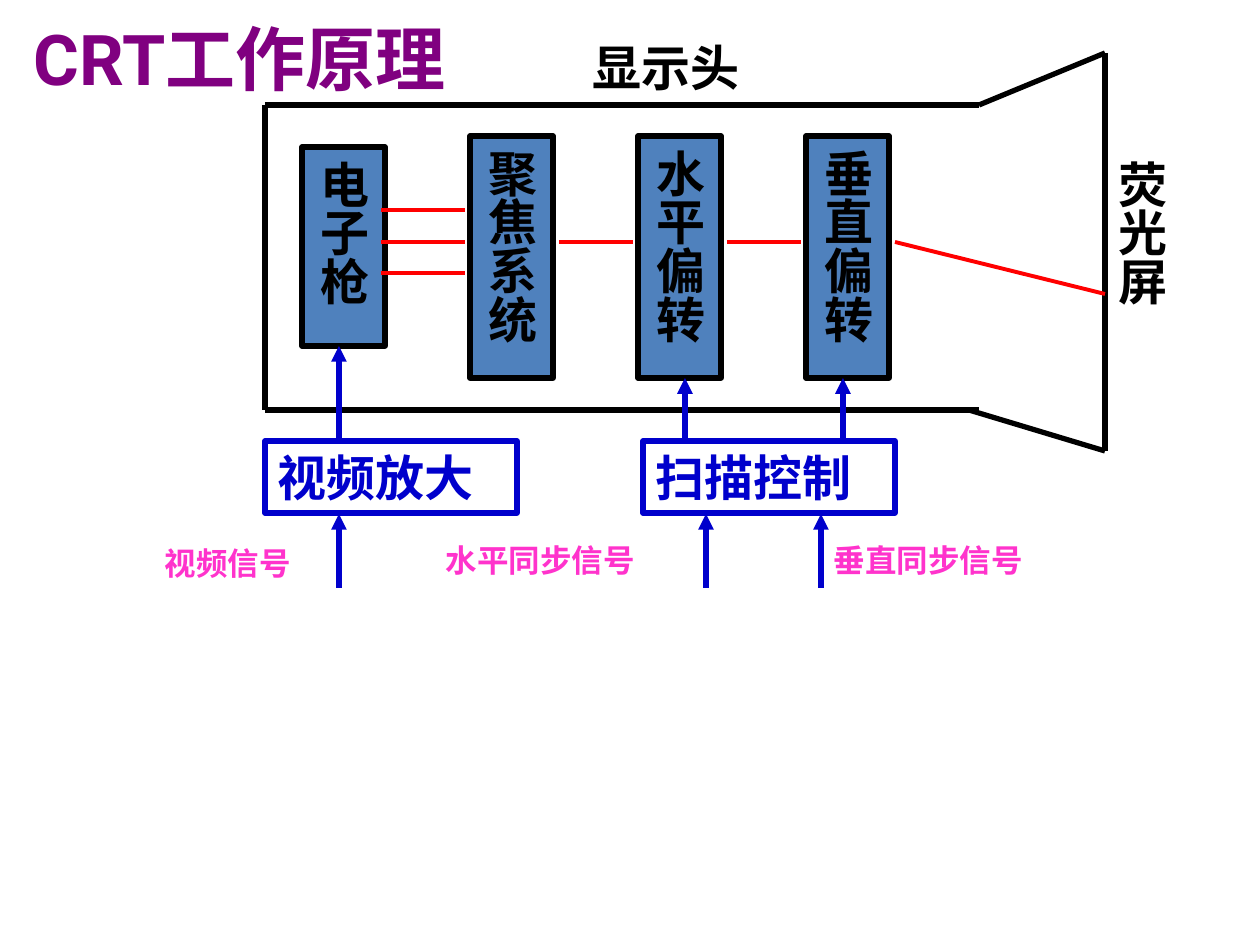
from lxml import etree
from pptx import Presentation
from pptx import util as u
from pptx.dml.color import RGBColor
from pptx.enum import shapes, text
from pptx.oxml.ns import qn

PX = u.Inches(1) / 126
CJK = "Noto Sans CJK SC"
BLACK, BLUE, RED, PINK = "000000", "0000CC", "FF0000", "FF33CC"
STEEL, PURPLE = "4F81BD", "800080"

# Layout of the tube, in px
TUBE_LEFT, TUBE_RIGHT, TUBE_TOP, TUBE_BOTTOM = 265, 979, 105, 410
SCREEN_X, SCREEN_TOP, SCREEN_BOTTOM = 1105, 53, 451
STAGE_LEFT, STAGE_STEP, STAGE_TOP, STAGE_WIDTH, STAGE_HEIGHT = 470, 168, 136, 83, 242
GUN_TOP, GUN_HEIGHT, BEAM_Y = 147, 199, 242
CONTROL_TOP, CONTROL_HEIGHT, SIGNAL_Y = 441, 72, 588


def px(length):
    return u.Emu(round(length * PX))


def color(value):
    return RGBColor.from_string(value)


def write(shape, words, size, ink, font=CJK, vertical=False):
    frame = shape.text_frame
    insets = (6, 13) if vertical else (13, 6)
    layout = {
        "word_wrap": True,
        "auto_size": text.MSO_AUTO_SIZE.NONE,
        "vertical_anchor": text.MSO_ANCHOR.MIDDLE,
        "margin_left": px(insets[0]),
        "margin_right": px(insets[0]),
        "margin_top": px(insets[1]),
        "margin_bottom": px(insets[1]),
    }
    for name, value in layout.items():
        setattr(frame, name, value)
    paragraph = frame.paragraphs[0]
    paragraph.alignment = text.PP_ALIGN.CENTER if vertical else text.PP_ALIGN.LEFT
    run = paragraph.add_run()
    run.text = words
    for name, value in {"size": u.Pt(size), "name": font, "bold": True}.items():
        setattr(run.font, name, value)
    run.font.color.rgb = color(ink)
    # East Asian typeface and text direction
    etree.SubElement(run.font._element, qn("a:ea"), typeface=CJK)
    if vertical:
        frame._txBody.bodyPr.set("vert", "eaVert")


def add_label(slide, box, words, size, ink, **style):
    shape = slide.shapes.add_textbox(*map(px, box))
    write(shape, words, size, ink, **style)


def add_block(slide, box, words, ink, edge, fill=None, vertical=False):
    shape = slide.shapes.add_shape(shapes.MSO_SHAPE.RECTANGLE, *map(px, box))
    shape.shadow.inherit = False
    if fill:
        shape.fill.solid()
        shape.fill.fore_color.rgb = color(fill)
    else:
        shape.fill.background()
    shape.line.color.rgb = color(edge)
    shape.line.width = u.Pt(3)
    write(shape, words, 28, ink, vertical=vertical)


def add_line(slide, ends, ink, width=3, arrow=False):
    line = slide.shapes.add_connector(shapes.MSO_CONNECTOR.STRAIGHT, *map(px, ends))
    line.line.color.rgb = color(ink)
    line.line.width = u.Pt(width)
    if arrow:
        etree.SubElement(line.line._get_or_add_ln(), qn("a:tailEnd"), type="triangle")
    etree.SubElement(line._element.spPr, qn("a:effectLst"))


def add_tube(slide):
    outline = [
        (TUBE_LEFT, TUBE_TOP, TUBE_RIGHT, TUBE_TOP),
        (TUBE_LEFT, TUBE_BOTTOM, TUBE_RIGHT, TUBE_BOTTOM),
        (TUBE_LEFT, TUBE_TOP, TUBE_LEFT, TUBE_BOTTOM),
        (TUBE_RIGHT, TUBE_TOP, SCREEN_X, SCREEN_TOP),
        (TUBE_RIGHT - 10, TUBE_BOTTOM, SCREEN_X, SCREEN_BOTTOM),
        (SCREEN_X, SCREEN_TOP, SCREEN_X, SCREEN_BOTTOM),
    ]
    for ends in outline:
        add_line(slide, ends, BLACK)


def add_stages(slide):
    blocks = [("电子枪", (302, GUN_TOP, STAGE_WIDTH, GUN_HEIGHT))]
    for index, words in enumerate(["聚焦系统", "水平偏转", "垂直偏转"]):
        left = STAGE_LEFT + index * STAGE_STEP
        blocks.append((words, (left, STAGE_TOP, STAGE_WIDTH, STAGE_HEIGHT)))
    for words, box in blocks:
        add_block(slide, box, words, BLACK, BLACK, STEEL, vertical=True)


def add_beams(slide):
    # Three beams leave the gun, one passes on between the stages
    beams = [(381, y, 465, y) for y in (210, BEAM_Y, 273)]
    starts = [STAGE_LEFT + 89 + index * STAGE_STEP for index in range(3)]
    beams += [(x, BEAM_Y, x + 74, BEAM_Y) for x in starts[:2]]
    beams.append((starts[2], BEAM_Y, SCREEN_X, 294))
    for ends in beams:
        add_line(slide, ends, RED, 2.25)


def add_controls(slide):
    for left, words in [(265, "视频放大"), (643, "扫描控制")]:
        add_block(slide, (left, CONTROL_TOP, 252, CONTROL_HEIGHT), words, BLUE, BLUE)
    # Signals into the controls, then from the controls into the tube
    arrows = [(x, SIGNAL_Y, CONTROL_TOP + CONTROL_HEIGHT + 1) for x in (339, 706, 821)]
    arrows.append((339, CONTROL_TOP, GUN_TOP + GUN_HEIGHT))
    arrows += [(x, CONTROL_TOP, STAGE_TOP + STAGE_HEIGHT) for x in (685, 843)]
    for x, tail, tip in arrows:
        add_line(slide, (x, tail, x, tip), BLUE, arrow=True)


def main():
    presentation = Presentation()
    presentation.slide_width = px(1260)
    presentation.slide_height = px(945)
    slide = presentation.slides.add_slide(presentation.slide_layouts[6])

    add_label(slide, (21, 9, 472, 97), "CRT工作原理", 40, PURPLE, font="Roboto")
    add_tube(slide)
    add_stages(slide)
    add_beams(slide)
    add_controls(slide)

    # Names of the tube parts and of the signals
    add_label(slide, (580, 31, 294, 72), "显示头", 28, BLACK)
    add_label(slide, (1100, 147, 83, 242), "荧光屏", 28, BLACK, vertical=True)
    add_label(slide, (152, 538, 252, 50), "视频信号", 18, PINK)
    for left, words in [(433, "水平同步信号"), (821, "垂直同步信号")]:
        add_label(slide, (left, 535, 325, 50), words, 18, PINK)

    presentation.save("out.pptx")


if __name__ == "__main__":
    main()
